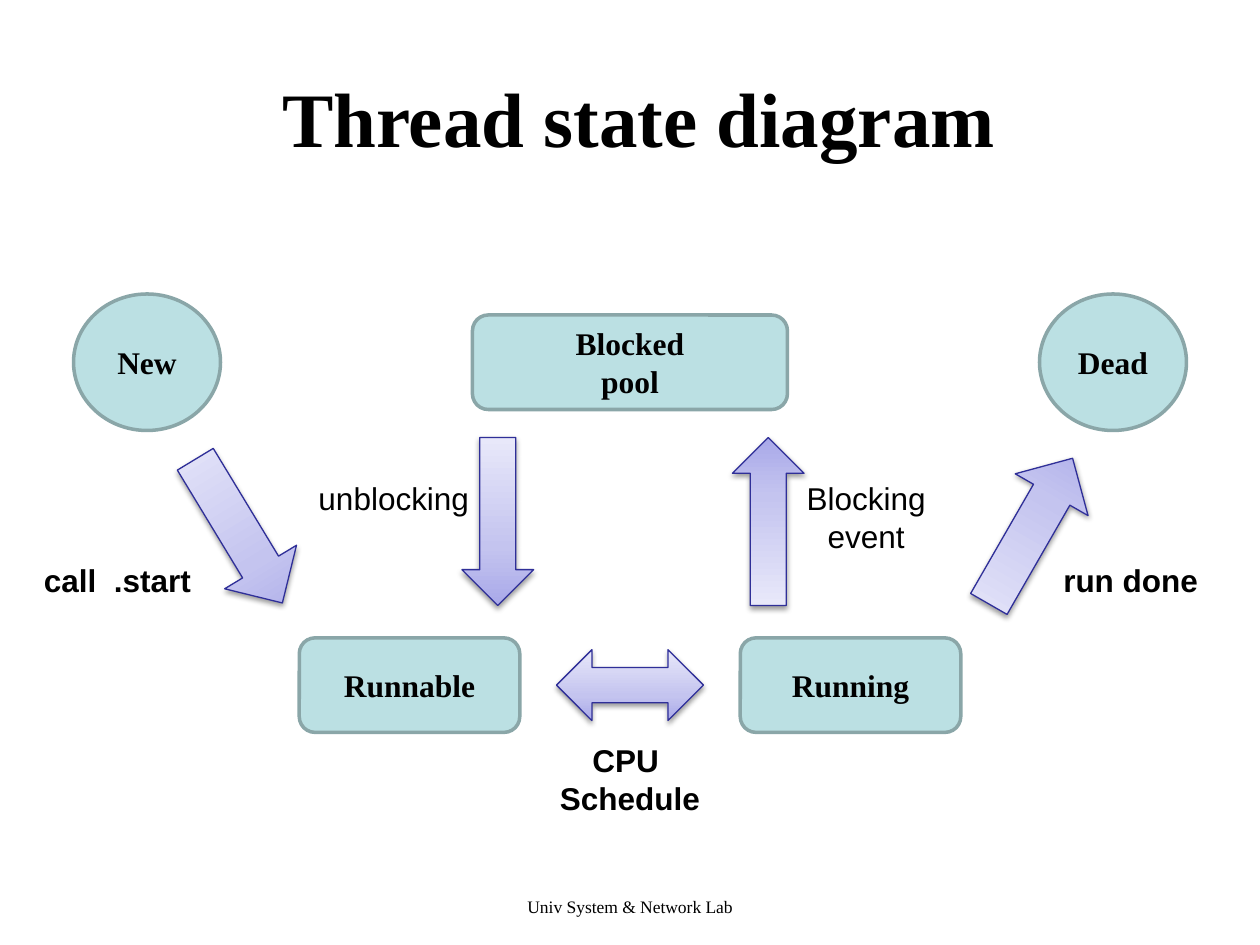
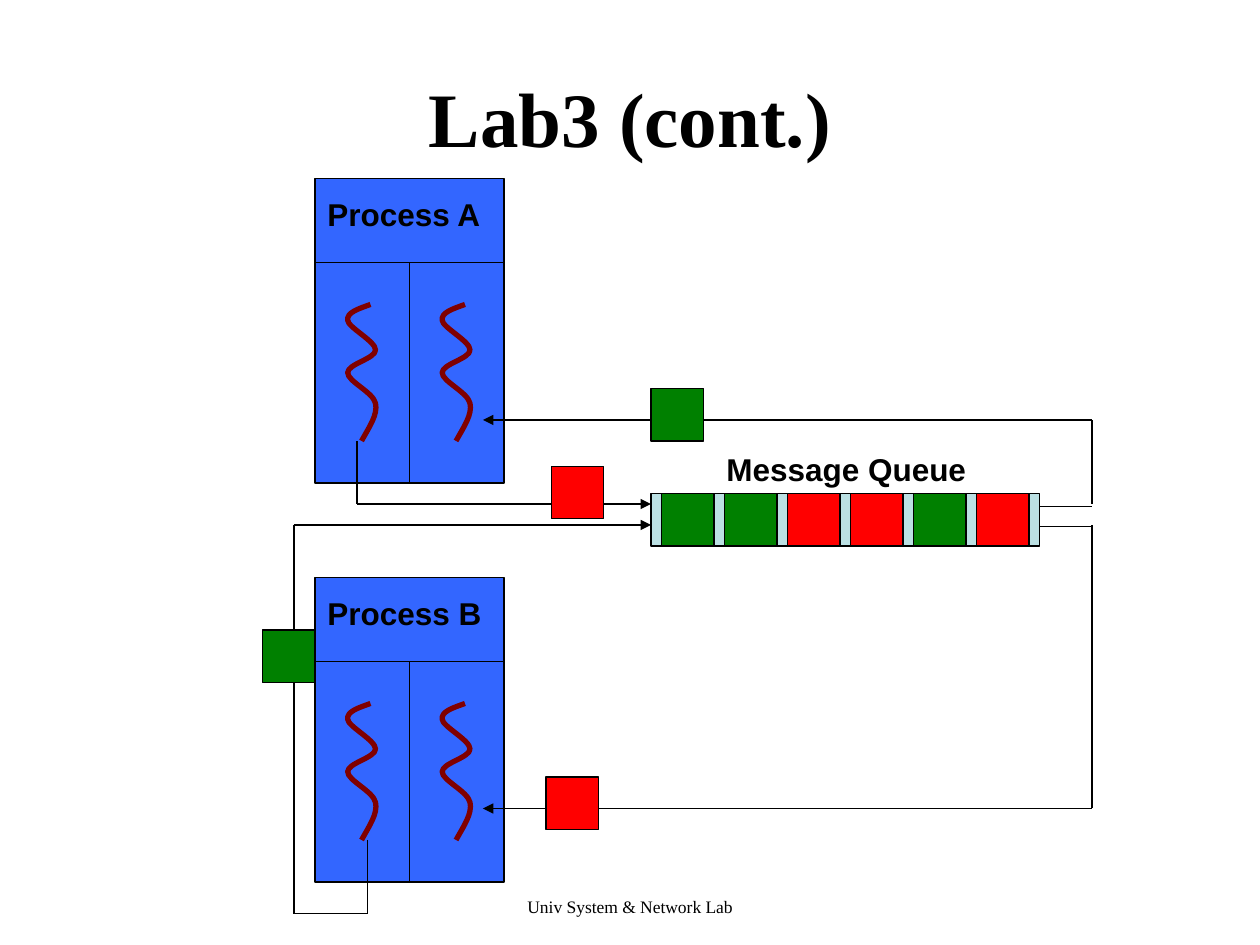
import copy
from dataclasses import dataclass

import lxml.etree
import pptx
import pptx.dml.color
import pptx.enum.shapes
import pptx.enum.text
import pptx.oxml.ns
import pptx.util

Pt = pptx.util.Pt
Kind = pptx.enum.shapes.MSO_SHAPE
Align = pptx.enum.text.PP_ALIGN
Anchor = pptx.enum.text.MSO_ANCHOR
qn = pptx.oxml.ns.qn


@dataclass(frozen=True)
class Theme:
    serif: str = "Times New Roman"
    sans: str = "Arial"
    ink: str = "000000"
    pale: str = "BBE0E3"
    rim: str = "8AA6A8"
    edge: str = "2F2F98"
    blue: str = "3366FF"
    red: str = "FF0000"
    green: str = "008000"
    maroon: str = "800000"
    fade: tuple = ((0, "A9A9E9"), (0.35, "C4C4EF"), (1, "E8E8FA"))
    head: int = 44
    body: int = 18
    small: int = 10
    thin: float = 0.75
    mid: int = 2
    thick: int = 3


def rgb(code):
    return pptx.dml.color.RGBColor.from_string(code)


class Deck:
    """Draw styled elements on the current slide of a presentation."""

    def __init__(self, theme):
        self.theme = theme
        self.file = pptx.Presentation()
        self.file.slide_width, self.file.slide_height = Pt(720), Pt(540)
        self.slide = None

    def page(self, title):
        look = self.theme
        self.slide = self.file.slides.add_slide(self.file.slide_layouts[6])
        self.label("Univ System & Network Lab", 207, 508.3, 306, 17.3,
                   Align.CENTER, False, look.small, look.serif)
        box = self.label(title, 36, 21.6, 648, 90, Align.CENTER, True, look.head, look.serif)
        box.text_frame.vertical_anchor = Anchor.MIDDLE

    def letter(self, frame, text, align, bold, size, face):
        frame.word_wrap = True
        frame.text = text
        for para in frame.paragraphs:
            para.alignment = align
            font = para.font
            font.name, font.size, font.bold = face, Pt(size), bold
            font.color.rgb = rgb(self.theme.ink)

    def label(self, text, x, y, w, h=29, align=Align.LEFT, bold=True, size=None, face=None):
        box = self.slide.shapes.add_textbox(Pt(x), Pt(y), Pt(w), Pt(h))
        self.letter(box.text_frame, text, align, bold,
                    size or self.theme.body, face or self.theme.sans)
        return box

    def stroke(self, item, color, width):
        item.line.color.rgb = rgb(color)
        item.line.width = Pt(width)

    def shape(self, kind, x, y, w, h, fill, color=None, width=None):
        item = self.slide.shapes.add_shape(kind, Pt(x), Pt(y), Pt(w), Pt(h))
        item.shadow.inherit = False
        item.fill.solid()
        item.fill.fore_color.rgb = rgb(fill)
        self.stroke(item, color or self.theme.ink, width or self.theme.thin)
        return item

    def state(self, kind, text, x, y, w, h):
        look = self.theme
        item = self.shape(kind, x, y, w, h, look.pale, look.rim, look.mid)
        item.text_frame.vertical_anchor = Anchor.MIDDLE
        self.letter(item.text_frame, text, Align.CENTER, True, look.body, look.serif)

    def arrow(self, kind, x, y, w, h, turn=0):
        look = self.theme
        item = self.shape(kind, x, y, w, h, look.pale, look.edge)
        item.rotation = turn
        item.fill.gradient()
        item.fill.gradient_angle = 90
        props = item._element.spPr
        stops = props.find(".//" + qn("a:gsLst"))
        stops.insert(1, copy.deepcopy(stops[0]))
        for stop, (place, color) in zip(item.fill.gradient_stops, look.fade):
            stop.position = place
            stop.color.rgb = rgb(color)
        shade = lxml.etree.SubElement(
            props.find(qn("a:effectLst")), qn("a:outerShdw"), blurRad=str(Pt(3.1)),
            dist=str(Pt(1.6)), dir="5400000", rotWithShape="0")
        tone = lxml.etree.SubElement(shade, qn("a:srgbClr"), val=look.ink)
        lxml.etree.SubElement(tone, qn("a:alpha"), val="38000")

    def line(self, start, end, tip=False):
        item = self.slide.shapes.add_connector(
            pptx.enum.shapes.MSO_CONNECTOR.STRAIGHT, *map(Pt, start + end))
        self.stroke(item, self.theme.ink, self.theme.thin)
        props = item._element.spPr
        if tip:
            lxml.etree.SubElement(props.find(qn("a:ln")), qn("a:tailEnd"), type="triangle")
        lxml.etree.SubElement(props, qn("a:effectLst"))
        return item

    def route(self, *stops):
        for step, pair in enumerate(zip(stops, stops[1:]), 2):
            self.line(*pair, tip=step == len(stops))

    def curve(self, x, y, points):
        spots = [(Pt(x + dx), Pt(y + dy)) for dx, dy in points]
        pen = self.slide.shapes.build_freeform(*spots[0])
        pen.add_line_segments(spots[1:], close=False)
        item = pen.convert_to_shape()
        item.shadow.inherit = False
        item.fill.background()
        self.stroke(item, self.theme.maroon, self.theme.thick)
        trace = item._element.spPr.find(".//" + qn("a:path"))
        parts = trace.findall(qn("a:lnTo"))
        for first in range(0, len(parts), 3):
            bend = lxml.etree.SubElement(trace, qn("a:cubicBezTo"))
            for part in parts[first:first + 3]:
                bend.append(part[0])
                trace.remove(part)


THREAD = [(31.7, 72), (25.2, 74.4), (18, 76.5), (18.7, 81),
          (18.7, 85), (34.6, 93), (34.6, 98),
          (34.6, 103), (18.7, 106), (18.7, 111),
          (18.7, 116), (33.1, 122), (34.6, 128.5),
          (36, 135), (31, 142), (26.6, 150)]


def states(deck):
    deck.page(" Thread state diagram")
    for text, x in (("New", 42), ("Dead", 594)):
        deck.state(Kind.OVAL, text, x, 168, 84, 78)
    for text, x in (("Runnable", 171), ("Running", 423)):
        deck.state(Kind.ROUNDED_RECTANGLE, text, x, 364.5, 126, 54)
    deck.state(Kind.ROUNDED_RECTANGLE, "Blocked\vpool", 270, 180, 180, 54)
    for x, y, w, turn in ((112.5, 255.5, 48, 328.8), (565, 255.5, 48, 209.9),
                          (418.5, 250, 41, 180), (264, 250, 41, 0)):
        deck.arrow(Kind.DOWN_ARROW, x, y, w, 96, turn)
    deck.arrow(Kind.LEFT_RIGHT_ARROW, 318, 371.25, 84, 40.5)
    deck.label("call  .start", 18, 317, 104)
    deck.label("run done", 600.5, 317, 104)
    deck.label("CPU \nSchedule", 311, 420, 98, 51, Align.CENTER)
    deck.label("Blocking event", 450, 270, 90, 51, Align.CENTER, False)
    deck.label("unblocking", 172, 270, 106, 29, Align.CENTER, False)


def process(deck, name, x, y):
    box = deck.shape(Kind.RECTANGLE, x, y, 108, 174, deck.theme.blue)
    deck.line((x, y + 48), (x + 108, y + 48))
    split = deck.line((x + 54, y + 48), (x + 54, y + 174))
    split.end_connect(box, 2)
    for shift in (0, 54):
        deck.curve(x + shift, y, THREAD)
    deck.label(name, x, y + 6, 156)


def queue(deck):
    look = deck.theme
    red, green = look.red, look.green
    deck.page("Lab3 (cont.)")
    process(deck, "Process A", 180, 102)
    process(deck, "Process B", 180, 330)
    deck.route((204, 252), (204, 288), (372, 288))
    deck.route((210, 480), (210, 522), (168, 522), (168, 300), (372, 300))
    for exit_y, start, end in ((289.5, 288, 240), (301, 300, 462)):
        deck.line((594, exit_y), (624, exit_y))
        deck.route((624, start), (624, end), (276, end))
    deck.shape(Kind.RECTANGLE, 372, 282, 222, 30, look.pale)
    sent = [(315, 266.4, red), (150, 360, green), (312, 444, red), (372, 222, green)]
    held = [(378 + 36 * slot, 282, color)
            for slot, color in enumerate((green, green, red, red, green, red))]
    for x, y, color in sent + held:
        deck.shape(Kind.RECTANGLE, x, y, 30, 30, color)
    deck.label("Message Queue", 408, 253.5, 156)


def main():
    deck = Deck(Theme())
    states(deck)
    queue(deck)
    deck.file.save("out.pptx")


if __name__ == "__main__":
    main()
